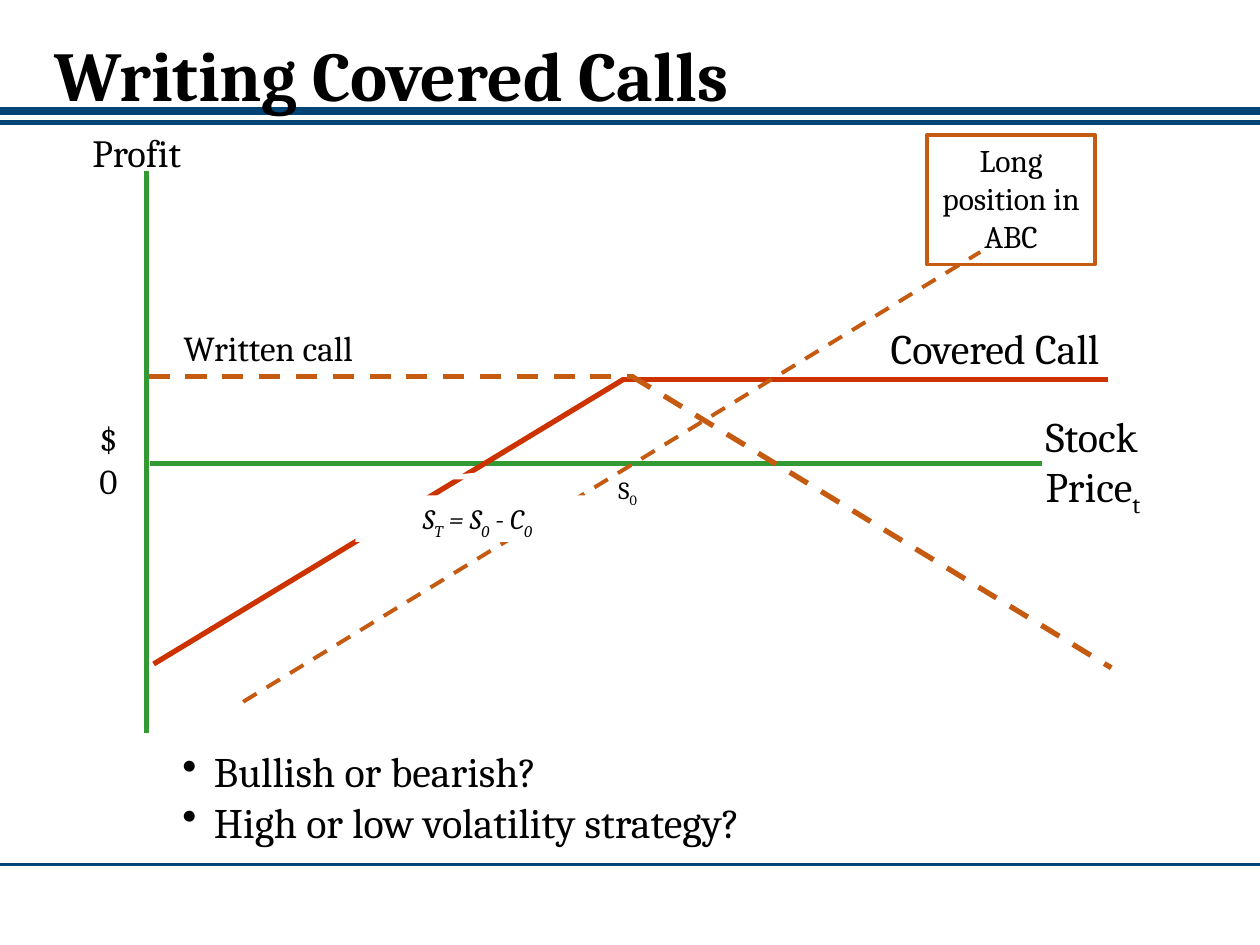
"""Build a slide with the profit diagram of a covered call."""
from lxml.etree import SubElement
from pptx import Presentation
from pptx.dml.color import RGBColor
from pptx.enum.dml import MSO_LINE
from pptx.enum.shapes import MSO_CONNECTOR, MSO_SHAPE
from pptx.enum.text import MSO_ANCHOR, MSO_AUTO_SIZE, PP_ALIGN
from pptx.oxml.ns import qn
from pptx.util import Inches, Pt

THEME = {
    "font": "Cambria",
    "text": RGBColor.from_string("000000"),
    "paper": RGBColor.from_string("FFFFFF"),
    "rule": RGBColor.from_string("024476"),
    "axis": RGBColor.from_string("339933"),
    "covered": RGBColor.from_string("CC3300"),
    "parts": RGBColor.from_string("C55A11"),
    "title": 40, "large": 24, "axis name": 22, "label": 20,
    "box": 18, "formula": 16, "strike": 14,
}

presentation = Presentation()
presentation.slide_width, presentation.slide_height = Inches(10), Inches(7.5)
column = presentation.slide_width / 100
row = presentation.slide_height / 75
slide = presentation.slides.add_slide(presentation.slide_layouts[5])
shapes = slide.shapes


def add_line(start, end, color, width, dashed=False):
    """Draw a line between two grid points."""
    ends = [round(value * unit) for value, unit in zip(start + end, (column, row) * 2)]
    line = shapes.add_connector(MSO_CONNECTOR.STRAIGHT, *ends)
    line.line.color.rgb = THEME[color]
    line.line.width = Pt(width)
    if dashed:
        line.line.dash_style = MSO_LINE.DASH
    SubElement(line._element.spPr, qn("a:effectLst"))


def add_text(cell, paragraphs, size, preset=None, align=PP_ALIGN.LEFT,
             anchor=MSO_ANCHOR.TOP, wrap=True, italic=None):
    """Place text in a grid cell; each paragraph is a list of (text, baseline) runs."""
    place = [round(value * unit) for value, unit in zip(cell, (column, row) * 2)]
    shape = shapes.add_shape(preset, *place) if preset else shapes.add_textbox(*place)
    frame = shape.text_frame
    frame.word_wrap, frame.vertical_anchor = wrap, anchor
    for index, runs in enumerate(paragraphs):
        paragraph = frame.paragraphs[0] if index == 0 else frame.add_paragraph()
        paragraph.alignment = align
        font = paragraph.font
        font.name, font.size, font.italic = THEME["font"], Pt(THEME[size]), italic
        font.color.rgb = THEME["text"]
        for text, baseline in runs:
            for part_index, part in enumerate(text.split("\n")):
                if part_index:
                    paragraph.add_line_break()
                run = paragraph.add_run()
                run.text = part
                if baseline:
                    run.font._element.set("baseline", str(baseline * 1000))
    return shape


for height, width in ((8.8, 4.5), (9.7, 3), (68.6, 1.5)):
    add_line((0, height), (100, height), "rule", width)

title = shapes.title
shapes._spTree.append(title._element)
title.left, title.top = round(3.3 * column), 0
title.width, title.height = round(90 * column), round(12.5 * row)
title.text_frame.text = "Writing Covered Calls"
title.text_frame.auto_size = MSO_AUTO_SIZE.NONE
title.text_frame.vertical_anchor = MSO_ANCHOR.MIDDLE
heading = title.text_frame.paragraphs[0]
heading.alignment, heading.line_spacing = PP_ALIGN.LEFT, 0.9
heading.font.name, heading.font.size = THEME["font"], Pt(THEME["title"])
heading.font.bold, heading.font.color.rgb = True, THEME["text"]

for start, end, color, width, dashed in (
    ((11.9, 36.8), (82.7, 36.8), "axis", 3, False),
    ((11.6, 13.6), (11.6, 58.2), "axis", 3, False),
    ((87.9, 30.1), (49.4, 30.1), "covered", 3, False),
    ((49.5, 30.1), (12.2, 52.7), "covered", 3, False),
    ((11.8, 29.9), (50.3, 29.9), "parts", 3, True),
    ((50.2, 29.9), (88.2, 53), "parts", 3, True),
    ((19.3, 55.7), (77.8, 20), "parts", 2.25, True),
):
    add_line(start, end, color, width, dashed)

centered = {"align": PP_ALIGN.CENTER}
axis_label = {"anchor": MSO_ANCHOR.MIDDLE, "wrap": False}
add_text((82, 32.3, 10.9, 9.1), [[("Stock \nPrice", 0), ("t", -25)]], "large", **axis_label)
add_text((6, 9.7, 9.7, 4.7), [[("Profit", 0)]], "axis name", **axis_label, **centered)
add_text((6.2, 34.3, 4.8, 4.4), [[("$0", 0)]], "label", **axis_label, **centered)

stock_box = add_text((73.6, 10.7, 13.3, 10.3), [[("Long position in ABC", 0)]], "box",
                     MSO_SHAPE.RECTANGLE, **centered)
stock_box.shadow.inherit = False
stock_box.fill.background()
stock_box.line.color.rgb = THEME["parts"]
stock_box.line.width = Pt(2.25)

add_text((13.6, 25.4, 26.7, 4.3), [[("Written call", 0)]], "label")
add_text((69.7, 25.1, 27.8, 5), [[("Covered Call", 0)]], "large")

questions = add_text((13.5, 58.7, 73, 9.1),
                     [[("Bullish or bearish?", 0)], [("High or low volatility strategy?", 0)]],
                     "large")
for paragraph in questions.text_frame.paragraphs:
    properties = paragraph._p.get_or_add_pPr()
    properties.set("marL", str(Inches(0.25)))
    properties.set("indent", str(-Inches(0.25)))
    bullet = properties.makeelement(qn("a:buChar"), {"char": "•"})
    properties.insert(0, bullet)

formula = [("S", 0), ("T", -30), (" = S", 0), ("0", -30), (" - C", 0), ("0", -30)]
break_even = add_text((28.2, 37.5, 19.4, 5.5), [formula], "formula",
                      MSO_SHAPE.UP_ARROW_CALLOUT, italic=True, **centered)
for index, value in enumerate((0.4, 0.97, 0.1, 0.67)):
    break_even.adjustments[index] = value
break_even.shadow.inherit = False
break_even.fill.solid()
break_even.fill.fore_color.rgb = THEME["paper"]
break_even.line.fill.background()

add_text((48.1, 37.2, 5.1, 3.3), [[("S", 0), ("0", -25)]], "strike")

presentation.save("out.pptx")
